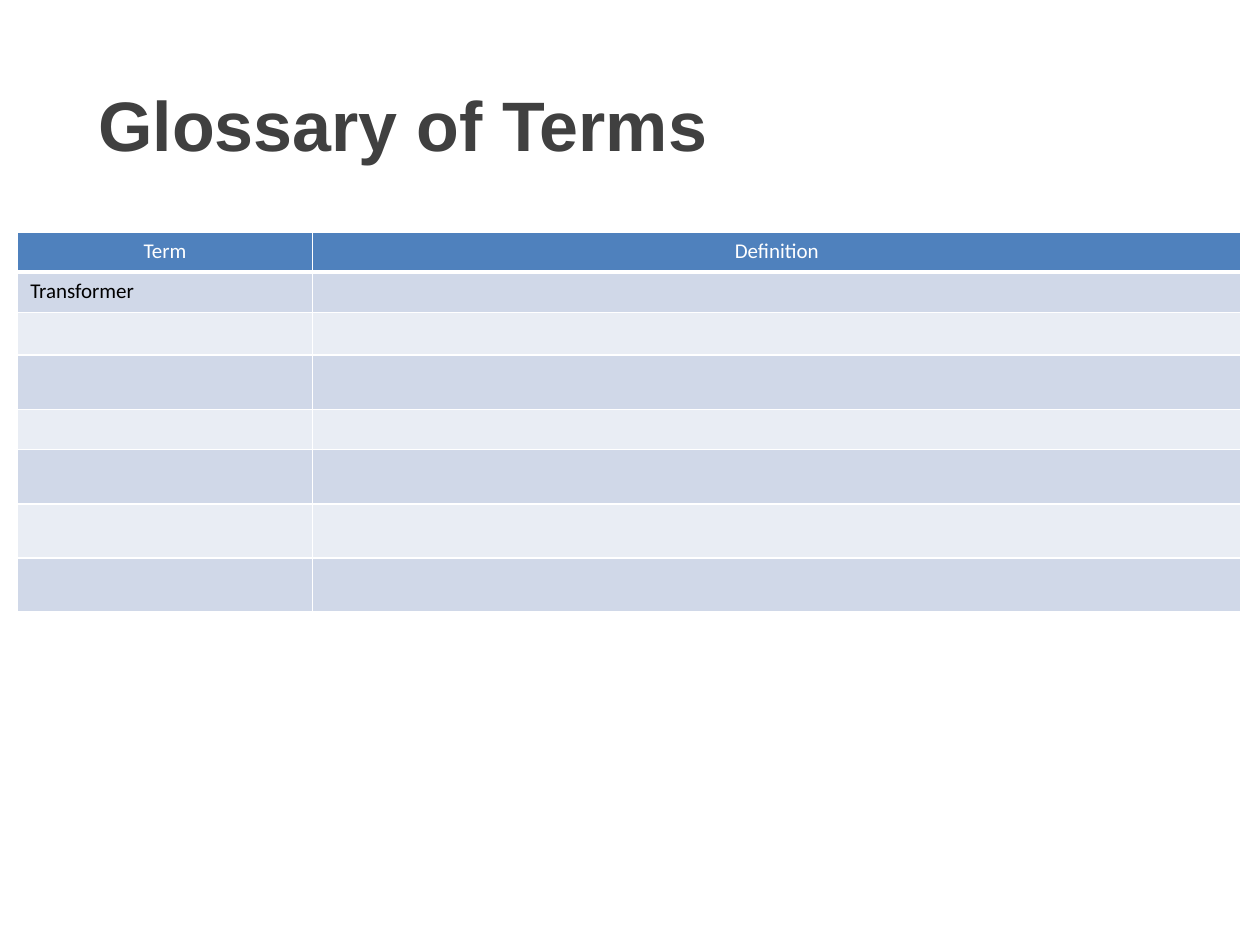
"""Build the glossary slide with its title and table of terms."""
import pptx
import pptx.dml.color
import pptx.enum.text
import pptx.oxml
import pptx.oxml.ns
import pptx.util

Inches = pptx.util.Inches
Pt = pptx.util.Pt
RGBColor = pptx.dml.color.RGBColor

WHITE = RGBColor(0xFF, 0xFF, 0xFF)
BLACK = RGBColor(0x00, 0x00, 0x00)
CHARCOAL = RGBColor(0x40, 0x40, 0x40)
HEADER_BLUE = RGBColor(0x4F, 0x81, 0xBD)
BANDS = (RGBColor(0xD0, 0xD8, 0xE8), RGBColor(0xE9, 0xED, 0xF4))


class GlossarySlide:
    title_font = "Arial"
    body_font = "Calibri"
    body_size = Pt(12)

    def __init__(self, presentation):
        self.slide = presentation.slides.add_slide(presentation.slide_layouts[6])

    def style(self, paragraph, name, size, color, bold=False):
        font = paragraph.font
        font.name, font.size, font.bold = name, size, bold
        font.color.rgb = color

    def title(self, text, left, top, width, height):
        heading = self.slide.shapes.add_textbox(
            Inches(left), Inches(top), Inches(width), Inches(height)
        ).text_frame
        heading.word_wrap = True
        heading.margin_left = Inches(0.08)
        heading.margin_top = Inches(0.1)
        heading.text = text
        self.style(heading.paragraphs[0], self.title_font, Pt(40), CHARCOAL, True)

    def border(self, cell, side, points):
        cell._tc.get_or_add_tcPr().append(pptx.oxml.parse_xml(
            f'<a:ln{side} {pptx.oxml.ns.nsdecls("a")} w="{Pt(points)}">'
            f'<a:solidFill><a:srgbClr val="{WHITE}"/></a:solidFill></a:ln{side}>'
        ))

    def cell(self, cell, text, is_header, fill):
        for side in "LRTB":
            self.border(cell, side, 3 if is_header and side == "B" else 1)
        cell.fill.solid()
        cell.fill.fore_color.rgb = fill
        cell.text = text
        entry = cell.text_frame.paragraphs[0]
        if is_header:
            entry.alignment = pptx.enum.text.PP_ALIGN.CENTER
        self.style(entry, self.body_font, self.body_size, WHITE if is_header else BLACK)
        if not text:
            entry._p.get_or_add_endParaRPr().set("sz", str(self.body_size.centipoints))

    def table(self, rows, left, top, widths, heights):
        glossary = self.slide.shapes.add_table(
            len(rows), len(widths), Inches(left), Inches(top),
            Inches(sum(widths)), Inches(sum(heights))
        ).table
        for column, width in zip(glossary.columns, widths):
            column.width = Inches(width)
        for index, (row, height, texts) in enumerate(zip(glossary.rows, heights, rows)):
            row.height = Inches(height)
            fill = BANDS[(index - 1) % 2] if index else HEADER_BLUE
            for cell, text in zip(row.cells, texts):
                self.cell(cell, text, index == 0, fill)


def main():
    presentation = pptx.Presentation()
    presentation.slide_width = Inches(10)
    presentation.slide_height = Inches(7.5)
    glossary = GlossarySlide(presentation)
    entries = [("Term", "Definition"), ("Transformer", "")] + [("", "")] * 6
    row_heights = (0.32, 0.32, 0.34, 0.43, 0.32, 0.43, 0.43, 0.43)
    glossary.table(entries, 0.14, 1.84, (2.34, 7.37), row_heights)
    glossary.title("Glossary of Terms", 0.7, 0.55, 8.61, 1.15)
    presentation.save("out.pptx")


if __name__ == "__main__":
    main()
